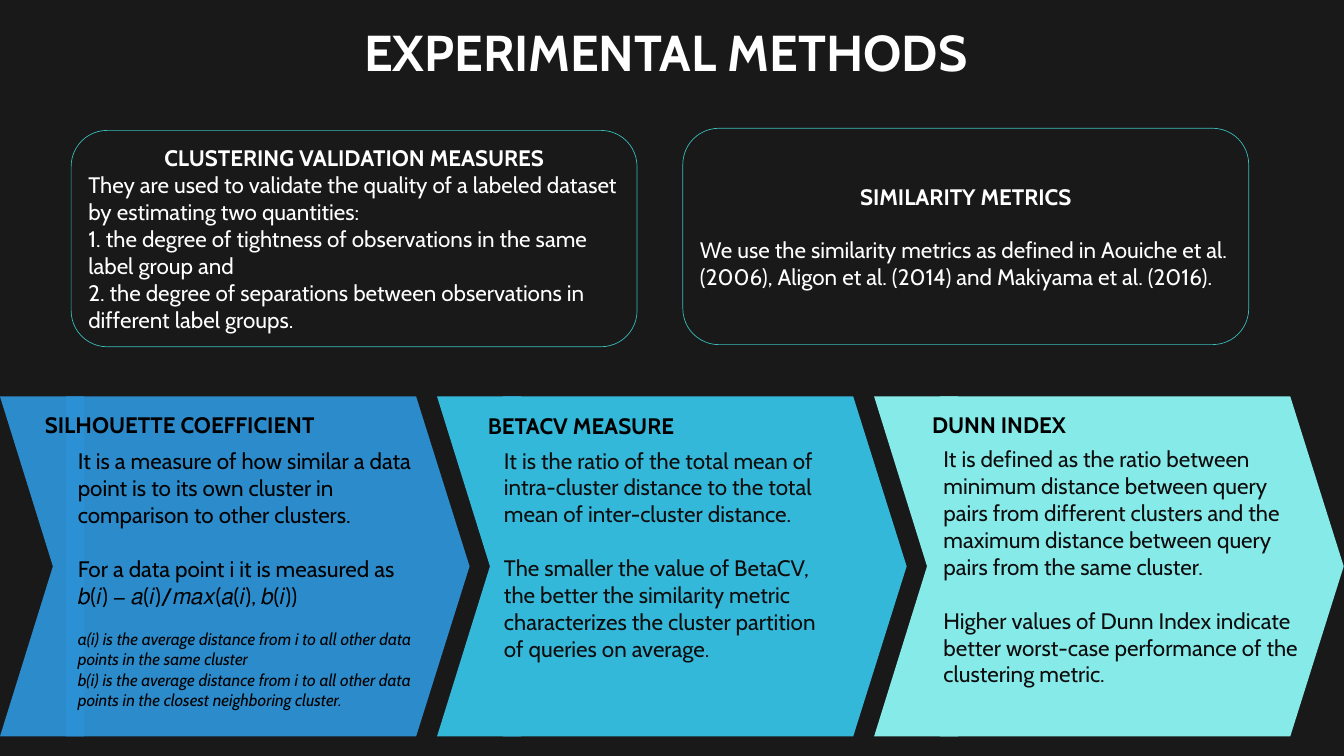
from dataclasses import dataclass
from typing import Optional

from lxml import etree
from pptx import Presentation
from pptx.dml.color import RGBColor
from pptx.enum import shapes, text
from pptx.oxml import ns
from pptx.util import Cm, Pt

FONT = "Cabin"
BACKGROUND = RGBColor(0x19, 0x19, 0x19)
WHITE = RGBColor(0xFF, 0xFF, 0xFF)
BLACK = RGBColor(0x00, 0x00, 0x00)
INK = RGBColor(0x0D, 0x0D, 0x0D)
TEAL = RGBColor(0x39, 0xBD, 0xBB)
BLUE = RGBColor(0x2C, 0x92, 0xD5)
CYAN = RGBColor(0x34, 0xB8, 0xDA)
AQUA = RGBColor(0x86, 0xEA, 0xE9)

ARROW_PITCH = 16.52
ARROW_TOP, ARROW_MIDDLE, ARROW_BOTTOM = 14.99, 21.41, 27.84


@dataclass
class Line:
    content: str
    size: float = 24
    bold: bool = False
    italic: bool = False
    centered: bool = False
    space_before: float = 0


@dataclass
class Box:
    left: float
    top: float
    width: float
    height: float
    lines: list[Line]


@dataclass
class Measure:
    fill: RGBColor
    ink: RGBColor
    heading: Box
    body: Box
    opacity: Optional[int] = None


TITLE = Box(13.51, 0.66, 26.87, 2.57, [Line("EXPERIMENTAL METHODS", 54, bold=True)])

CARDS = [
    Box(2.69, 4.93, 21.39, 8.18, [
        Line("CLUSTERING VALIDATION MEASURES", bold=True, centered=True),
        Line("They are used to validate the quality of a labeled dataset by estimating two quantities:"),
        Line("1. the degree of tightness of observations in the same label group and"),
        Line("2. the degree of separations between observations in different label groups."),
    ]),
    Box(25.81, 4.85, 21.39, 8.18, [
        Line("SIMILARITY METRICS", bold=True, centered=True),
        Line("We use the similarity metrics as defined in Aouiche et al. (2006), "
             "Aligon et al. (2014) and Makiyama et al. (2016).", space_before=29),
    ]),
]

MEASURES = [
    Measure(
        BLUE, BLACK,
        Box(1.45, 15.42, 12.07, 1.27, [Line("SILHOUETTE COEFFICIENT", bold=True)]),
        Box(2.69, 16.79, 13.84, 10.26, [
            Line("It is a measure of how similar a data point is to its own cluster "
                 "in comparison to other clusters."),
            Line("For a data point i it is measured as", space_before=29),
            Line("𝑏(𝑖) − 𝑎(𝑖)/𝑚𝑎𝑥(𝑎(𝑖), 𝑏(𝑖))"),
            Line("a(i) is the average distance from i to all other data points in the same cluster",
                 18, italic=True, space_before=21.6),
            Line("b(i) is the average distance from i to all other data points "
                 "in the closest neighboring cluster.", 18, italic=True),
        ]),
        opacity=95,
    ),
    Measure(
        CYAN, INK,
        Box(18.19, 15.44, 9.09, 1.27, [Line("BETACV MEASURE", bold=True)]),
        Box(18.8, 16.76, 12.7, 9.5, [
            Line("It is the ratio of the total mean of intra-cluster distance "
                 "to the total mean of inter-cluster distance."),
            Line("The smaller the value of BetaCV, the better the similarity metric "
                 "characterizes the cluster partition of queries on average.", space_before=29),
        ]),
    ),
    Measure(
        AQUA, INK,
        Box(34.98, 15.42, 6.88, 1.27, [Line("DUNN INDEX", bold=True)]),
        Box(35.41, 16.71, 14.38, 10.52, [
            Line("It is defined as the ratio between minimum distance between query pairs "
                 "from different clusters and the maximum distance between query pairs "
                 "from the same cluster."),
            Line("Higher values of Dunn Index indicate better worst-case performance "
                 "of the clustering metric.", space_before=29),
        ]),
    ),
]


def write_lines(text_frame, lines: list[Line], color: RGBColor, anchor) -> None:
    text_frame.text = "\n".join(line.content for line in lines)
    text_frame.word_wrap = True
    text_frame.auto_size = text.MSO_AUTO_SIZE.NONE
    text_frame.vertical_anchor = anchor
    for paragraph, line in zip(text_frame.paragraphs, lines):
        paragraph.alignment = text.PP_ALIGN.CENTER if line.centered else text.PP_ALIGN.LEFT
        paragraph.space_before = Pt(line.space_before)
        for run in paragraph.runs:
            run.font.name = FONT
            run.font.size = Pt(line.size)
            run.font.bold = line.bold
            run.font.italic = line.italic
            run.font.color.rgb = color


def box_lengths(box: Box) -> tuple:
    return Cm(box.left), Cm(box.top), Cm(box.width), Cm(box.height)


def fill_title(slide, box: Box) -> None:
    title = slide.shapes.title
    title.left, title.top, title.width, title.height = box_lengths(box)
    write_lines(title.text_frame, box.lines, WHITE, text.MSO_ANCHOR.TOP)


def add_text(slide, box: Box, color: RGBColor) -> None:
    shape = slide.shapes.add_textbox(*box_lengths(box))
    write_lines(shape.text_frame, box.lines, color, text.MSO_ANCHOR.TOP)


def add_card(slide, box: Box) -> None:
    shape = slide.shapes.add_shape(shapes.MSO_SHAPE.ROUNDED_RECTANGLE, *box_lengths(box))
    shape.shadow.inherit = False
    shape.fill.background()
    shape.line.color.rgb = TEAL
    shape.line.width = Pt(0.75)
    write_lines(shape.text_frame, box.lines, WHITE, text.MSO_ANCHOR.MIDDLE)


def add_piece(slide, points: list[tuple], fill: RGBColor, opacity: Optional[int]) -> None:
    corners = [(Cm(x), Cm(y)) for x, y in points]
    builder = slide.shapes.build_freeform(*corners[0])
    builder.add_line_segments(corners[1:], close=True)
    shape = builder.convert_to_shape()
    shape.shadow.inherit = False
    shape.fill.solid()
    shape.fill.fore_color.rgb = fill
    shape.line.fill.background()
    if opacity is not None:
        color = shape.fill._xPr.find(".//" + ns.qn("a:srgbClr"))
        etree.SubElement(color, ns.qn("a:alpha"), val=str(opacity * 1000))


def add_arrow(slide, left: float, measure: Measure) -> None:
    tail = [(left, ARROW_TOP), (left + 3.18, ARROW_TOP), (left + 3.18, ARROW_BOTTOM),
            (left, ARROW_BOTTOM), (left + 2, ARROW_MIDDLE)]
    head = [(left + 2.49, ARROW_TOP), (left + 15.73, ARROW_TOP), (left + 17.75, ARROW_MIDDLE),
            (left + 15.73, ARROW_BOTTOM), (left + 2.49, ARROW_BOTTOM)]
    for points in (tail, head):
        add_piece(slide, points, measure.fill, measure.opacity)


def main() -> None:
    presentation = Presentation()
    presentation.slide_width = Cm(50.8)
    presentation.slide_height = Cm(28.58)
    slide = presentation.slides.add_slide(presentation.slide_layouts[5])
    slide.background.fill.solid()
    slide.background.fill.fore_color.rgb = BACKGROUND

    for index, measure in enumerate(MEASURES):
        add_arrow(slide, index * ARROW_PITCH, measure)
        add_text(slide, measure.heading, BLACK)
        add_text(slide, measure.body, measure.ink)
    fill_title(slide, TITLE)
    for card in CARDS:
        add_card(slide, card)

    presentation.save("out.pptx")


if __name__ == "__main__":
    main()
